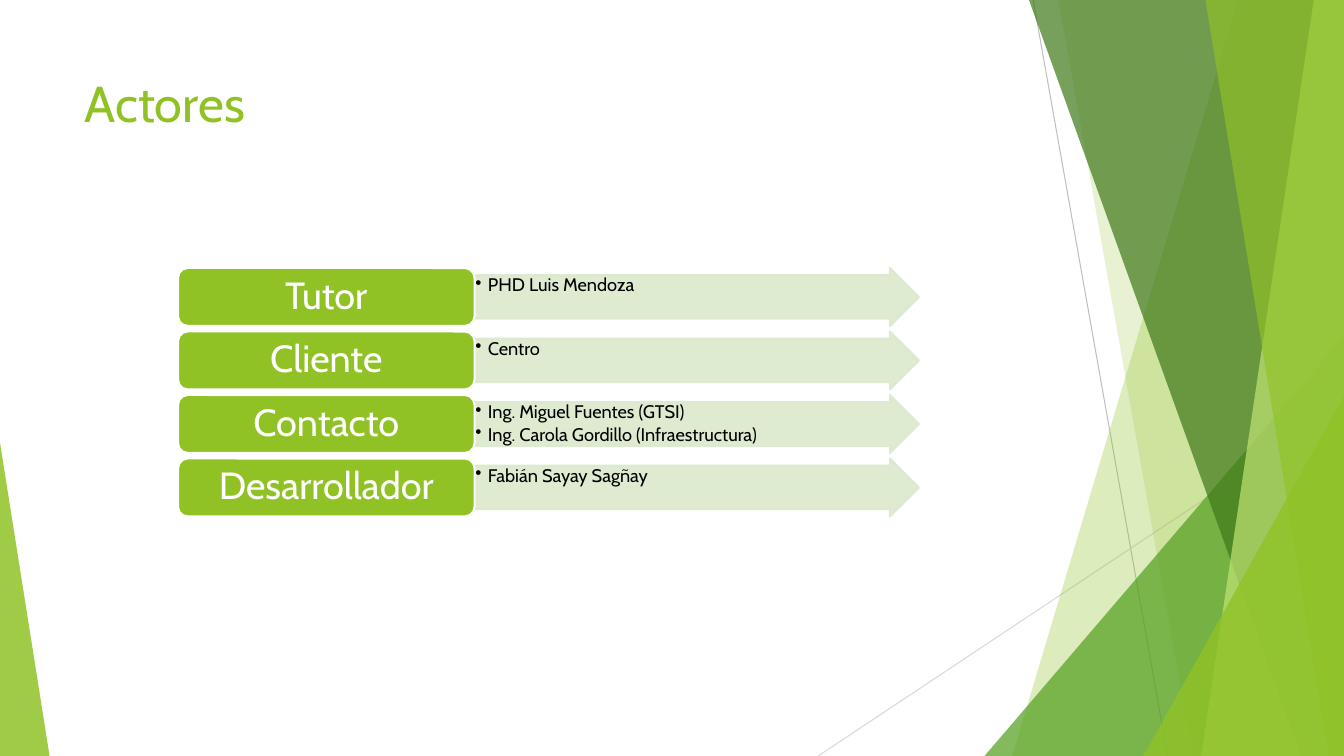
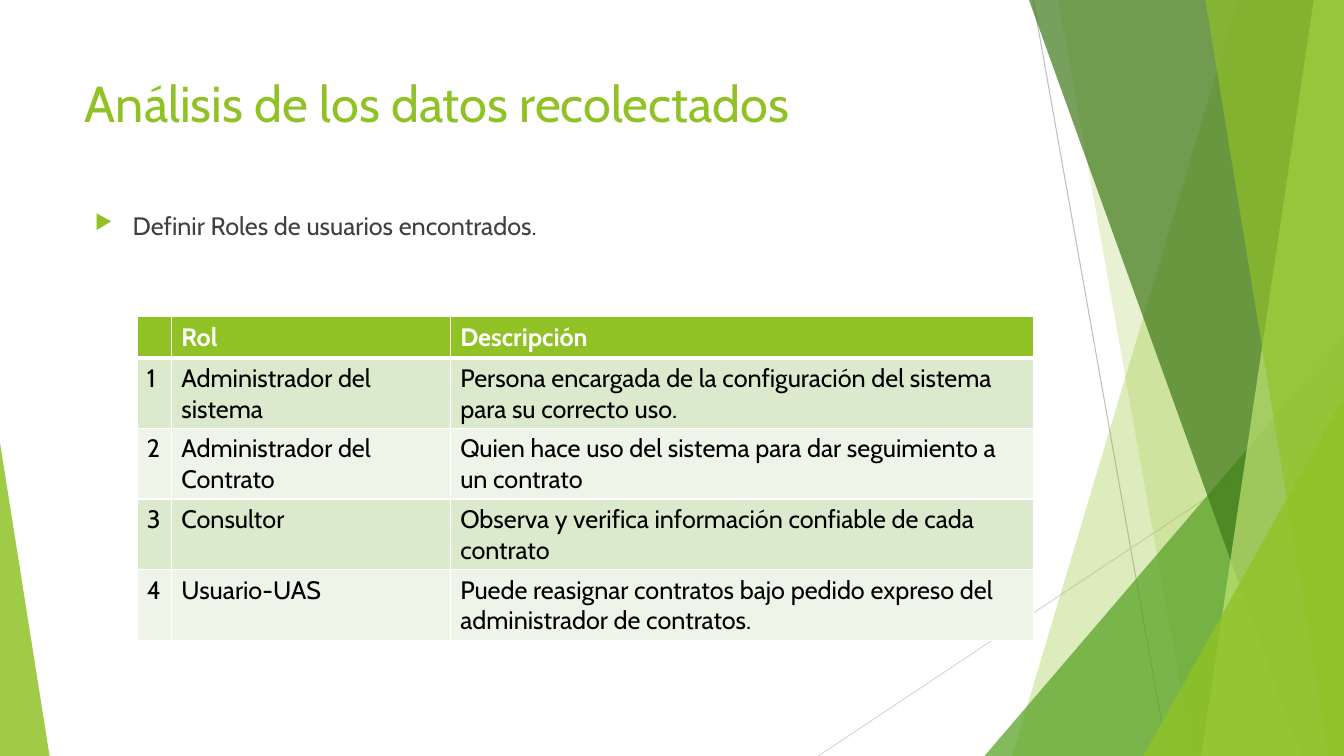
"""Build two slides on project actors and user roles with a shared green facet design."""
import dataclasses
import typing

import lxml.etree
import pptx
import pptx.dml.color
import pptx.enum.shapes
import pptx.enum.text
import pptx.oxml.ns
import pptx.util

COLUMNS, ROWS = 160, 90
SLIDE_WIDTH, SLIDE_HEIGHT = pptx.util.Inches(13.33), pptx.util.Inches(7.5)
FONT = "Cabin"
COLORS = {
    "green": "90C226",
    "leaf": "54A021",
    "forest": "3F7819",
    "lime": "C0E474",
    "mint": "DBE9CD",
    "pale": "EEF4E8",
    "white": "FFFFFF",
    "black": "000000",
    "gray": "404040",
    "silver": "BFBFBF",
    "mist": "D9D9D9",
}
SHAPE = pptx.enum.shapes.MSO_SHAPE
ANCHOR = pptx.enum.text.MSO_ANCHOR
ALIGN = pptx.enum.text.PP_ALIGN


class Area(typing.NamedTuple):
    left: float
    top: float
    width: float
    height: float


class Ray(typing.NamedTuple):
    start: tuple[float, float]
    end: tuple[float, float]
    color: str


@dataclasses.dataclass(frozen=True)
class Band:
    top_column: float
    bottom_column: float
    color: str
    opacity: int


@dataclasses.dataclass(frozen=True)
class Wedge:
    area: Area
    apex: float
    color: str
    opacity: int


@dataclasses.dataclass(frozen=True)
class Bullet:
    symbol: str
    indent: float
    color: str
    percent: int


@dataclasses.dataclass(frozen=True)
class Actor:
    role: str
    people: tuple[str, ...]


RAYS = (
    Ray((123, 0), (139, 90), "silver"),
    Ray((160, 48.4), (97.4, 90), "mist"),
)
FACETS = (
    Band(147.4, 120.5, "green", 30),
    Band(126, 142, "green", 20),
    Wedge(Area(117.2, 40, 42.8, 50), 1, "leaf", 72),
    Band(122.5, 154.9, "forest", 70),
    Band(156.4, 143, "lime", 70),
    Band(143.5, 158.2, "green", 65),
    Wedge(Area(136.1, 47.2, 23.9, 42.8), 1, "green", 80),
    Wedge(Area(0, 52.7, 5.9, 37.3), 0, "green", 85),
)
TITLE_AREA = Area(8.9, 8, 112.8, 17.3)
BODY_AREA = Area(10.1, 24.4, 112.8, 10)
ARROW_BULLET = Bullet("▶", 4.5, "green", 80)
DOT_BULLET = Bullet("•", 1.5, "black", 100)

ACTORS = (
    Actor("Tutor", ("PHD Luis Mendoza",)),
    Actor("Cliente", ("Centro",)),
    Actor("Contacto", ("Ing. Miguel Fuentes (GTSI)", "Ing. Carola Gordillo (Infraestructura)")),
    Actor("Desarrollador", ("Fabián Sayay Sagñay",)),
)
ACTORS_TOP, ACTOR_PITCH, ACTOR_HEIGHT = 31.9, 7.56, 6.9
ROLE_LEFT, ROLE_WIDTH, PEOPLE_WIDTH = 21.2, 35.3, 52.9

ROLE_HEADER = ("", "Rol", "Descripción")
ROLES = (
    ("Administrador del sistema",
     "Persona encargada de la configuración del sistema para su correcto uso."),
    ("Administrador del Contrato",
     "Quien hace uso del sistema para dar seguimiento a un contrato"),
    ("Consultor", "Observa y verifica información confiable de cada contrato"),
    ("Usuario-UAS",
     "Puede reasignar contratos bajo pedido expreso del administrador de contratos."),
)
TABLE_LEFT, TABLE_TOP = 16.3, 37.7
TABLE_COLUMNS = (4.1, 33.2, 69.4)
HEADER_HEIGHT, ROLE_HEIGHT = 4.9, 8.4


def across(columns: float) -> int:
    return round(SLIDE_WIDTH * columns / COLUMNS)


def down(rows: float) -> int:
    return round(SLIDE_HEIGHT * rows / ROWS)


def place(area: Area) -> tuple[int, int, int, int]:
    return across(area.left), down(area.top), across(area.width), down(area.height)


def rgb(color: str) -> pptx.dml.color.RGBColor:
    return pptx.dml.color.RGBColor.from_string(COLORS[color])


def add_element(parent, tag: str, **attributes: str):
    return lxml.etree.SubElement(parent, pptx.oxml.ns.qn(tag), **attributes)


def paint(shape, fill: str, line: str | None = None, opacity: int = 100) -> None:
    shape.shadow.inherit = False
    shape.fill.solid()
    shape.fill.fore_color.rgb = rgb(fill)
    if line:
        shape.line.color.rgb = rgb(line)
        shape.line.width = pptx.util.Pt(1.5)
    else:
        shape.line.fill.background()
    if opacity < 100:
        for color in list(shape.element.spPr.iter(pptx.oxml.ns.qn("a:srgbClr"))):
            add_element(color, "a:alpha", val=str(opacity * 1000))


def style(para, size: float, color: str, bold: bool = False) -> None:
    para.font.name = FONT
    para.font.size = pptx.util.Pt(size)
    para.font.bold = bold
    para.font.color.rgb = rgb(color)


def add_bullet(para, bullet: Bullet) -> None:
    properties = para._p.get_or_add_pPr()
    indent = across(bullet.indent)
    properties.set("marL", str(indent))
    properties.set("indent", str(-indent))
    color = add_element(properties, "a:buClr")
    add_element(color, "a:srgbClr", val=COLORS[bullet.color])
    add_element(properties, "a:buSzPct", val=str(bullet.percent * 1000))
    add_element(properties, "a:buChar", char=bullet.symbol)


def set_frame(frame, horizontal: float, vertical: float, anchor) -> None:
    frame.word_wrap = True
    frame.vertical_anchor = anchor
    frame.margin_left = frame.margin_right = across(horizontal)
    frame.margin_top = frame.margin_bottom = down(vertical)


def add_text(page, area: Area, text: str, size: float, color: str):
    box = page.shapes.add_textbox(*place(area))
    set_frame(box.text_frame, 1.2, 0.6, ANCHOR.TOP)
    para = box.text_frame.paragraphs[0]
    para.text = text
    style(para, size, color)
    return para


def add_ray(page, ray: Ray) -> None:
    connector = page.shapes.add_connector(
        pptx.enum.shapes.MSO_CONNECTOR.STRAIGHT,
        across(ray.start[0]), down(ray.start[1]), across(ray.end[0]), down(ray.end[1]))
    connector.line.color.rgb = rgb(ray.color)
    connector.line.width = pptx.util.Pt(0.75)
    add_element(connector.element.spPr, "a:effectLst")


def add_facet(page, facet: Band | Wedge) -> None:
    if isinstance(facet, Wedge):
        shape = page.shapes.add_shape(SHAPE.ISOSCELES_TRIANGLE, *place(facet.area))
        shape.adjustments[0] = facet.apex
    else:
        builder = page.shapes.build_freeform(across(facet.top_column), 0)
        corners = ((COLUMNS, 0), (COLUMNS, ROWS), (facet.bottom_column, ROWS))
        builder.add_line_segments([(across(x), down(y)) for x, y in corners], close=True)
        shape = builder.convert_to_shape()
    paint(shape, facet.color, opacity=facet.opacity)


def add_page(deck, title: str):
    page = deck.slides.add_slide(deck.slide_layouts[6])
    for ray in RAYS:
        add_ray(page, ray)
    for facet in FACETS:
        add_facet(page, facet)
    add_text(page, TITLE_AREA, title, 36, "green")
    return page


def add_actor(page, actor: Actor, top: float) -> None:
    arrow_area = Area(ROLE_LEFT + ROLE_WIDTH, top, PEOPLE_WIDTH, ACTOR_HEIGHT)
    arrow = page.shapes.add_shape(SHAPE.RIGHT_ARROW, *place(arrow_area))
    arrow.adjustments[0], arrow.adjustments[1] = 0.75, 0.5
    paint(arrow, "mint", "mint", 90)
    set_frame(arrow.text_frame, 0.1, 0.1, ANCHOR.TOP)
    arrow.text_frame.text = "\n".join(actor.people)
    for para in arrow.text_frame.paragraphs:
        style(para, 13, "black")
        para.alignment = ALIGN.LEFT
        para.line_spacing = 0.9
        para.space_after = pptx.util.Pt(2)
        add_bullet(para, DOT_BULLET)

    role_area = Area(ROLE_LEFT, top, ROLE_WIDTH, ACTOR_HEIGHT)
    role = page.shapes.add_shape(SHAPE.ROUNDED_RECTANGLE, *place(role_area))
    paint(role, "green", "white")
    set_frame(role.text_frame, 1.3, 0.7, ANCHOR.MIDDLE)
    para = role.text_frame.paragraphs[0]
    para.text = actor.role
    para.alignment = ALIGN.CENTER
    para.line_spacing = 0.9
    style(para, 27, "white")


def add_borders(cell, top: float, bottom: float) -> None:
    properties = cell._tc.get_or_add_tcPr()
    sides = (("a:lnL", 1), ("a:lnR", 1), ("a:lnT", top), ("a:lnB", bottom))
    for position, (side, width) in enumerate(sides):
        border = add_element(properties, side, w=str(pptx.util.Pt(width)))
        fill = add_element(border, "a:solidFill")
        add_element(fill, "a:srgbClr", val=COLORS["white"])
        properties.insert(position, border)


def add_roles_table(page) -> None:
    rows = (ROLE_HEADER, *((str(number), *role) for number, role in enumerate(ROLES, 1)))
    heights = (HEADER_HEIGHT, *(ROLE_HEIGHT for _ in ROLES))
    area = Area(TABLE_LEFT, TABLE_TOP, sum(TABLE_COLUMNS), sum(heights))
    table = page.shapes.add_table(len(rows), len(TABLE_COLUMNS), *place(area)).table
    for column, width in zip(table.columns, TABLE_COLUMNS):
        column.width = across(width)
    for index, (texts, height) in enumerate(zip(rows, heights)):
        header = index == 0
        fill = "green" if header else ("pale", "mint")[index % 2]
        table.rows[index].height = down(height)
        for cell, text in zip(table.rows[index].cells, texts):
            cell.fill.solid()
            cell.fill.fore_color.rgb = rgb(fill)
            add_borders(cell, 3 if index == 1 else 1, 3 if header else 1)
            para = cell.text_frame.paragraphs[0]
            para.text = text
            style(para, 18, "white" if header else "black", header)


def add_actors_page(deck) -> None:
    page = add_page(deck, "Actores")
    for index, actor in enumerate(ACTORS):
        add_actor(page, actor, ACTORS_TOP + index * ACTOR_PITCH)


def add_roles_page(deck) -> None:
    page = add_page(deck, "Análisis de los datos recolectados")
    para = add_text(page, BODY_AREA, "Definir Roles de usuarios encontrados.", 18, "gray")
    para.space_before = pptx.util.Pt(10)
    add_bullet(para, ARROW_BULLET)
    add_roles_table(page)


def main() -> None:
    deck = pptx.Presentation()
    deck.slide_width, deck.slide_height = SLIDE_WIDTH, SLIDE_HEIGHT
    add_actors_page(deck)
    add_roles_page(deck)
    deck.save("out.pptx")


if __name__ == "__main__":
    main()
